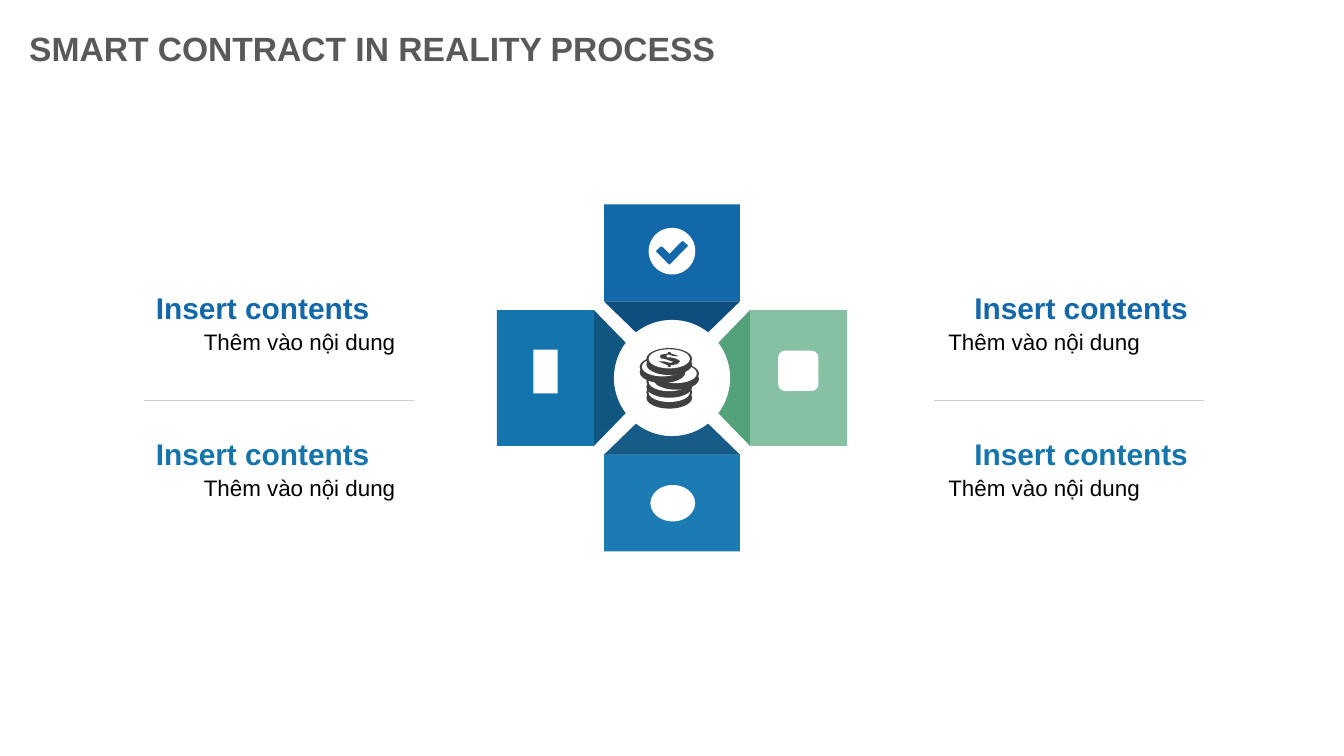
"""Build the smart contract slide with a four-armed diagram and captions."""
from typing import NamedTuple

from lxml.etree import SubElement
from pptx import Presentation
from pptx.dml.color import RGBColor
from pptx.enum.shapes import MSO_CONNECTOR as Connector, MSO_SHAPE as Preset
from pptx.enum.text import MSO_ANCHOR as Anchor, MSO_AUTO_SIZE as AutoSize, PP_ALIGN as Align
from pptx.oxml.ns import qn
from pptx.util import Pt

CENTER_X, CENTER_Y = 360, 202.5
BLOCK_DEPTH, BLOCK_SPAN = 52, 72.7
FACET_HEIGHT = 35.3
HUB_SIZE = 56.2
COIN_WIDTH, COIN_HEIGHT, COIN_THICKNESS = 24.5, 11.5, 2.9
COIN_RIM = 1.2
CAPTION_WIDTH = 154
WHITE, COIN_DARK, RULE_GRAY = "FFFFFF", "404040", "CCCCCC"
HEADING_BLUE, SECOND_BLUE = "1368AA", "1474AC"


class Arm(NamedTuple):
    step_x: int
    step_y: int
    gap: float
    facet_rotation: int
    block_color: str
    facet_color: str


class Icon(NamedTuple):
    preset: Preset
    x: float
    y: float
    width: float
    height: float


class Side(NamedTuple):
    caption_left: float
    rule_left: float
    heading_align: Align


class Caption(NamedTuple):
    top: float
    color: str


class Coin(NamedTuple):
    left: float
    top: float


ARMS = [
    Arm(0, 1, 41, 0, "1D7BB4", "165C87"),
    Arm(0, -1, 41, 180, HEADING_BLUE, "0E4E7F"),
    Arm(1, 0, 41.8, 270, "87C1A4", "54A27B"),
    Arm(-1, 0, 41.8, 90, SECOND_BLUE, "0F5781"),
]
ICONS = [
    Icon(Preset.RECTANGLE, 292.3, 199, 13, 23.5),
    Icon(Preset.OVAL, 360.4, 269.6, 24, 19.5),
    Icon(Preset.ROUNDED_RECTANGLE, 427.7, 198.7, 21.6, 21.6),
    Icon(Preset.OVAL, 360, 134.6, 25, 25),
]
SIDES = [Side(482.4, 500.4, Align.RIGHT), Side(83.5, 77, Align.LEFT)]
CAPTIONS = [Caption(155, HEADING_BLUE), Caption(233.2, SECOND_BLUE)]
COINS = [
    Coin(346.3, 204.5), Coin(346.3, 198.7), Coin(350, 194.4),
    Coin(342.7, 190.8), Coin(346.3, 186.5),
]
CHECK_MARK = [
    (7.9, -2.2), (-0.7, 6.5), (-1.4, 7.2), (-2.2, 6.5), (-7.9, 0.7), (-8.6, 0),
    (-7.9, -0.7), (-6.5, -2.2), (-5.8, -2.5), (-5, -2.2), (-1.4, 1.4), (5, -5),
    (5.8, -5.4), (6.5, -5), (7.9, -3.6), (8.6, -2.9),
]
DOLLAR_SIGN = [
    (-1, -5), (1, -5), (1, -4), (7, -2), (3, -2), (0, -3), (-2, -3), (-2, -1),
    (1, -1), (5, 0), (7, 1), (8, 2), (6, 4), (1, 5), (1, 6), (-1, 6), (-1, 5),
    (-8, 2), (-4, 2), (0, 3), (2, 3), (3, 2), (2, 2), (-1, 1), (-4, 0),
    (-6, 0), (-7, -2), (-6, -3), (-1, -4),
]


def color(value: str) -> RGBColor:
    return RGBColor.from_string(value)


def paint(shape, fill: str):
    shape.shadow.inherit = False
    shape.fill.solid()
    shape.fill.fore_color.rgb = color(fill)
    shape.line.fill.background()
    return shape


def add_centered(slide, preset, x: float, y: float, width: float, height: float, fill: str):
    shape = slide.shapes.add_shape(
        preset, Pt(x - width / 2), Pt(y - height / 2), Pt(width), Pt(height))
    return paint(shape, fill)


def add_outline(slide, points: list, x: float, y: float, scale: float, fill: str) -> None:
    corners = [(Pt(x + dx * scale), Pt(y + dy * scale)) for dx, dy in points]
    builder = slide.shapes.build_freeform(*corners[0], scale=1.0)
    builder.add_line_segments(corners[1:], close=True)
    paint(builder.convert_to_shape(), fill)


def add_arm(slide, arm: Arm) -> None:
    block_offset = arm.gap + BLOCK_DEPTH / 2
    facet_offset = arm.gap - FACET_HEIGHT / 2
    width, height = (BLOCK_DEPTH, BLOCK_SPAN) if arm.step_x else (BLOCK_SPAN, BLOCK_DEPTH)
    add_centered(slide, Preset.RECTANGLE, CENTER_X + arm.step_x * block_offset,
                 CENTER_Y + arm.step_y * block_offset, width, height, arm.block_color)
    facet = add_centered(slide, Preset.ISOSCELES_TRIANGLE,
                         CENTER_X + arm.step_x * facet_offset,
                         CENTER_Y + arm.step_y * facet_offset,
                         BLOCK_SPAN, FACET_HEIGHT, arm.facet_color)
    facet.rotation = arm.facet_rotation


def add_coin(slide, coin: Coin) -> None:
    x, y = coin.left + COIN_WIDTH / 2, coin.top + COIN_HEIGHT / 2
    for drop in (COIN_THICKNESS, 0):
        add_centered(slide, Preset.OVAL, x, y + drop, COIN_WIDTH, COIN_HEIGHT, COIN_DARK)
    add_centered(slide, Preset.OVAL, x, y, COIN_WIDTH - 2 * COIN_RIM,
                 COIN_HEIGHT - COIN_RIM, WHITE)


def write(shape, text: str, size: float, ink: str, align: Align, bold: bool = False,
          wrap: bool = False, spacing: float = 1.0, anchor: Anchor = Anchor.TOP) -> None:
    frame = shape.text_frame
    frame.margin_left = frame.margin_right = frame.margin_top = frame.margin_bottom = Pt(0)
    frame.auto_size = AutoSize.NONE
    frame.word_wrap = wrap
    frame.vertical_anchor = anchor
    paragraph = frame.paragraphs[0]
    paragraph.alignment = align
    paragraph.line_spacing = spacing
    run = paragraph.add_run()
    run.text = text
    run.font.name = "Arial"
    run.font.size = Pt(size)
    run.font.bold = bold
    run.font.color.rgb = color(ink)


def add_caption(slide, side: Side, caption: Caption) -> None:
    left, width = Pt(side.caption_left), Pt(CAPTION_WIDTH)
    body = slide.shapes.add_textbox(left, Pt(caption.top + 18.2), width, Pt(30))
    write(body, "Thêm vào nội dung", 12, "000000", Align.CENTER, wrap=True, spacing=1.2)
    heading = slide.shapes.add_textbox(left, Pt(caption.top), width, Pt(18))
    write(heading, "Insert contents", 16, caption.color, side.heading_align, bold=True)


def add_rule(slide, left: float) -> None:
    rule = slide.shapes.add_connector(
        Connector.STRAIGHT, Pt(left), Pt(214.7), Pt(left + 144.7), Pt(214.7))
    rule.line.color.rgb = color(RULE_GRAY)
    rule.line.width = Pt(0.75)
    SubElement(rule._element.spPr, qn("a:effectLst"))


def main() -> None:
    presentation = Presentation()
    presentation.slide_width, presentation.slide_height = Pt(720), Pt(405)
    slide = presentation.slides.add_slide(presentation.slide_layouts[5])
    slide.background.fill.solid()
    slide.background.fill.fore_color.rgb = color(WHITE)

    title = slide.shapes.title
    title.left, title.top, title.width, title.height = Pt(9.5), Pt(10), Pt(380), Pt(32)
    write(title, "SMART CONTRACT IN REALITY PROCESS", 18, "595959", Align.CENTER,
          bold=True, anchor=Anchor.MIDDLE)

    for arm in ARMS:
        add_arm(slide, arm)
    hub = add_centered(slide, Preset.OVAL, CENTER_X, CENTER_Y, HUB_SIZE, HUB_SIZE, WHITE)
    hub.line.color.rgb = color(WHITE)
    hub.line.width = Pt(6)
    for coin in COINS:
        add_coin(slide, coin)
    add_outline(slide, DOLLAR_SIGN, 358.6, 192.2, 0.72, COIN_DARK)

    for icon in ICONS:
        add_centered(slide, *icon, WHITE)
    add_outline(slide, CHECK_MARK, 360, 134.6, 1, HEADING_BLUE)

    for side in SIDES:
        for caption in CAPTIONS:
            add_caption(slide, side, caption)
        add_rule(slide, side.rule_left)
    presentation.save("out.pptx")


if __name__ == "__main__":
    main()
